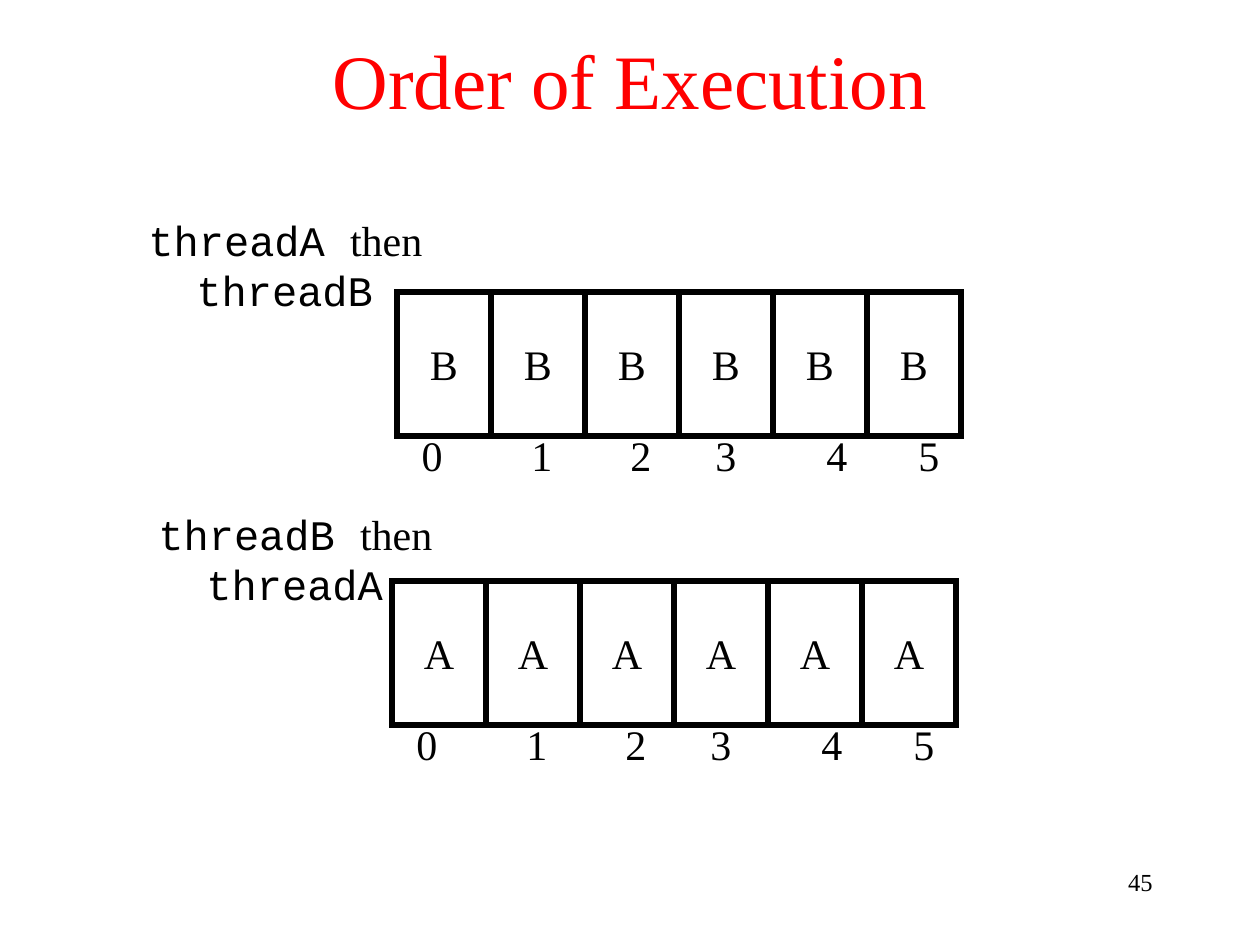
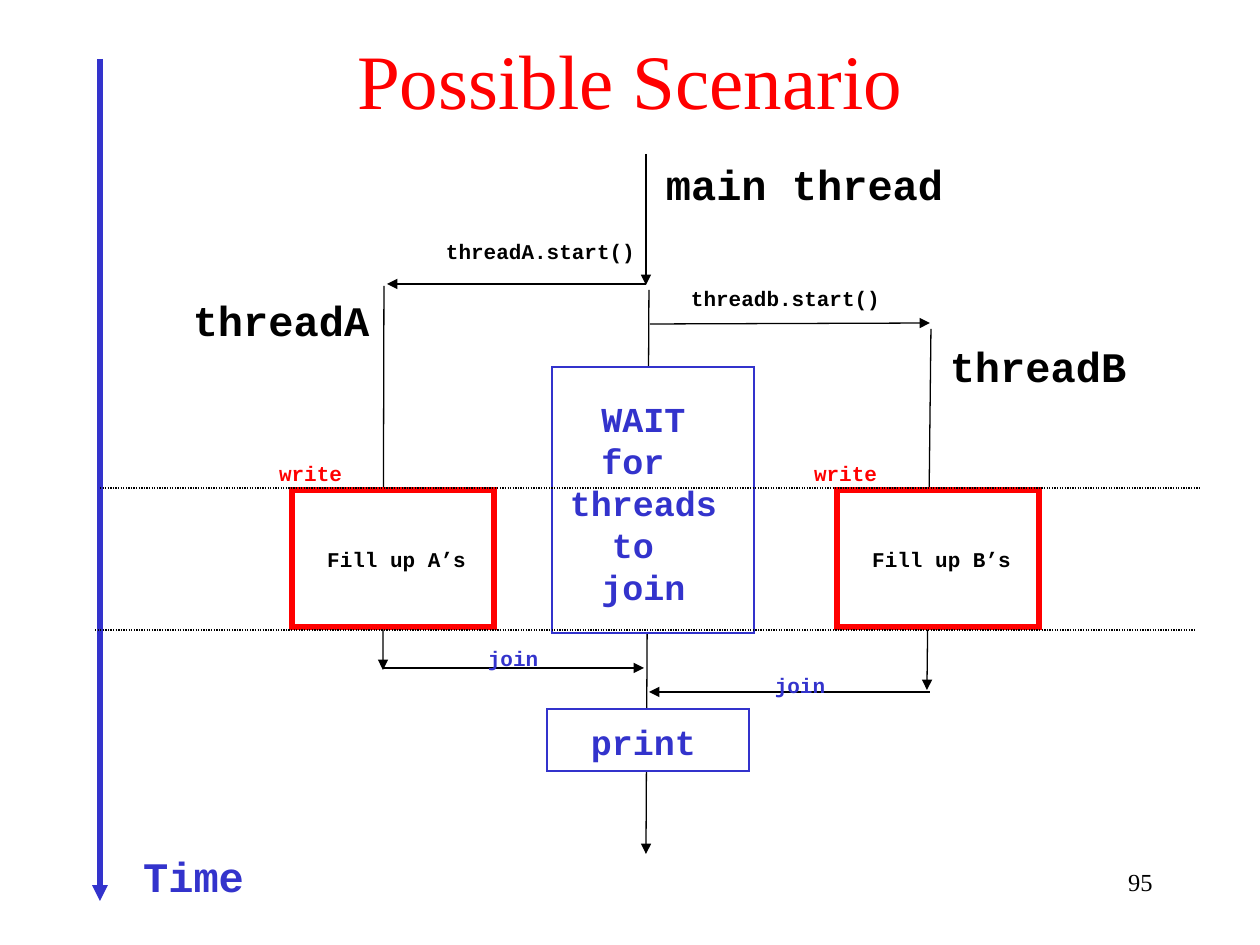
from lxml import etree
from pptx import Presentation
from pptx import util as u
from pptx.dml.color import RGBColor
from pptx.enum import dml, shapes, text
from pptx.oxml.ns import qn

PX = 7257  # EMU per px, 126 px to the inch
SERIF, MONO = "Times New Roman", "Courier New"
BLACK, WHITE, RED, BLUE = "000000", "FFFFFF", "FF0000", "3333CC"
color = RGBColor.from_string


def write(paragraph, words, align=text.PP_ALIGN.CENTER, size=24, name=SERIF, ink=BLACK, bold=False):
    """Add one formatted run to the paragraph."""
    paragraph.alignment = align
    run = paragraph.add_run()
    run.text = words
    for key, value in {"size": u.Pt(size), "name": name, "bold": bold}.items():
        setattr(run.font, key, value)
    run.font.color.rgb = color(ink)


def add_label(slide, lines, left, top, width, height, wrap=True, **style):
    frame = slide.shapes.add_textbox(left * PX, top * PX, width * PX, height * PX).text_frame
    frame.word_wrap = wrap
    for i, line in enumerate(lines):
        write(frame.add_paragraph() if i else frame.paragraphs[0], line, **style)
    return frame


prs = Presentation()
prs.slide_width, prs.slide_height = u.Inches(10), u.Inches(7.5)

# Shared title and page number
pages = []
for heading, number in (("Order of Execution", "45"), ("Possible Scenario", "95")):
    page = prs.slides.add_slide(prs.slide_layouts[5])
    title = page.shapes.title
    title.left, title.top, title.width, title.height = 0, 0, prs.slide_width, 158 * PX
    title.text_frame.auto_size = text.MSO_AUTO_SIZE.NONE
    title.text_frame.vertical_anchor = text.MSO_ANCHOR.MIDDLE
    write(title.text_frame.paragraphs[0], heading, size=44, ink=RED)
    add_label(page, [number], 903, 861, 262, 63, align=text.PP_ALIGN.RIGHT, size=14)
    pages.append(page)
order, scenario = pages

# Order of Execution: the array after each order of the two threads
CELL_W, CELL_H = 94, 144
INDEX_OFFSETS = (-2, 108, 207, 292, 403, 495)
for first, last, note_left, note_top, row_left, row_top in (
    ("threadA", "threadB", 136, 208, 397, 292),
    ("threadB", "threadA", 146, 502, 392, 581),
):
    caption = add_label(order, [], note_left, note_top, 485, 120).paragraphs[0]
    left_align = text.PP_ALIGN.LEFT
    write(caption, first + " ", left_align, name=MONO)
    write(caption, "then", left_align)
    caption.add_line_break()
    write(caption, last, left_align, name=MONO)
    hanging = caption._p.get_or_add_pPr()
    hanging.set("marL", str(48 * PX))
    hanging.set("indent", str(-48 * PX))

    for i, offset in enumerate(INDEX_OFFSETS):
        cell = order.shapes.add_shape(
            shapes.MSO_SHAPE.RECTANGLE,
            (row_left + i * CELL_W) * PX, row_top * PX, CELL_W * PX, CELL_H * PX)
        cell.shadow.inherit = False
        cell.fill.background()
        cell.line.color.rgb = color(BLACK)
        cell.line.width = u.Pt(3)
        etree.SubElement(cell.line._get_or_add_ln(), qn("a:miter"), lim="800000")
        cell.text_frame.word_wrap = False
        cell.text_frame.vertical_anchor = text.MSO_ANCHOR.MIDDLE
        write(cell.text_frame.paragraphs[0], last[-1])
        add_label(order, [str(i)], row_left + offset, row_top + 131, 74, 63)

# Possible Scenario, back to front: lifelines, steps over them, then messages.
# Steps give left, top, width, height; lines give both ends.
for kind, place, ink, weight in (
    ("arrow", (384, 286, 383, 670), BLACK, 0.75),
    ("arrow", (931, 329, 927, 690), BLACK, 0.75),
    ("arrow", (649, 290, 646, 854), BLACK, 0.75),
    ("step", (292, 490, 202, 137), RED, 3),
    ("step", (837, 490, 202, 137), RED, 3),
    ("step", (552, 367, 202, 266), BLUE, 0.75),
    ("step", (547, 709, 202, 62), BLUE, 0.75),
    ("arrow", (646, 154, 646, 285), BLACK, 0.75),
    ("arrow", (646, 284, 387, 284), BLACK, 0.75),
    ("arrow", (650, 324, 930, 323), BLACK, 0.75),
    ("arrow", (383, 668, 644, 668), BLACK, 0.75),
    ("arrow", (930, 692, 649, 692), BLACK, 0.75),
    ("arrow", (100, 59, 100, 901), BLUE, 3),
    ("dots", (100, 488, 1201, 488), BLACK, 0.75),
    ("dots", (95, 630, 1196, 630), BLACK, 0.75),
):
    place = [value * PX for value in place]
    if kind == "step":
        part = scenario.shapes.add_shape(shapes.MSO_SHAPE.RECTANGLE, *place)
        part.shadow.inherit = False
        part.fill.solid()
        part.fill.fore_color.rgb = color(WHITE)
    else:
        part = scenario.shapes.add_connector(shapes.MSO_CONNECTOR.STRAIGHT, *place)
    part.line.color.rgb = color(ink)
    part.line.width = u.Pt(weight)
    outline = part.line._get_or_add_ln()
    if kind == "step":
        etree.SubElement(outline, qn("a:miter"), lim="800000")
        continue
    if kind == "dots":
        part.line.dash_style = dml.MSO_LINE.ROUND_DOT
    else:
        etree.SubElement(outline, qn("a:tailEnd"), type="triangle")
    etree.SubElement(part._element.spPr, qn("a:effectLst"))

for lines, left, top, size, ink in (
    (["main thread"], 651, 152, 24, BLACK),
    (["threadA"], 178, 288, 24, BLACK),
    (["threadB"], 935, 334, 24, BLACK),
    (["Time"], 128, 844, 24, BLUE),
    (["WAIT", "for ", "threads", "to ", "join"], 555, 391, 20, BLUE),
    (["print"], 576, 714, 20, BLUE),
    (["threadA.start()"], 431, 232, 12, BLACK),
    (["threadb.start()"], 676, 279, 12, BLACK),
    (["Fill up A’s"], 312, 540, 12, BLACK),
    (["Fill up B’s"], 857, 540, 12, BLACK),
    (["write"], 264, 454, 12, RED),
    (["write"], 799, 454, 12, RED),
    (["join"], 473, 639, 12, BLUE),
    (["join"], 760, 666, 12, BLUE),
):
    # Each monospaced letter is 0.6 em wide; 30 and 13 px leave room for the margins
    width = round(max(map(len, lines)) * size * 1.05) + 30
    height = len(lines) * size * 2 + 13
    add_label(scenario, lines, left, top, width, height, wrap=False,
              size=size, name=MONO, ink=ink, bold=True)

prs.save("out.pptx")
